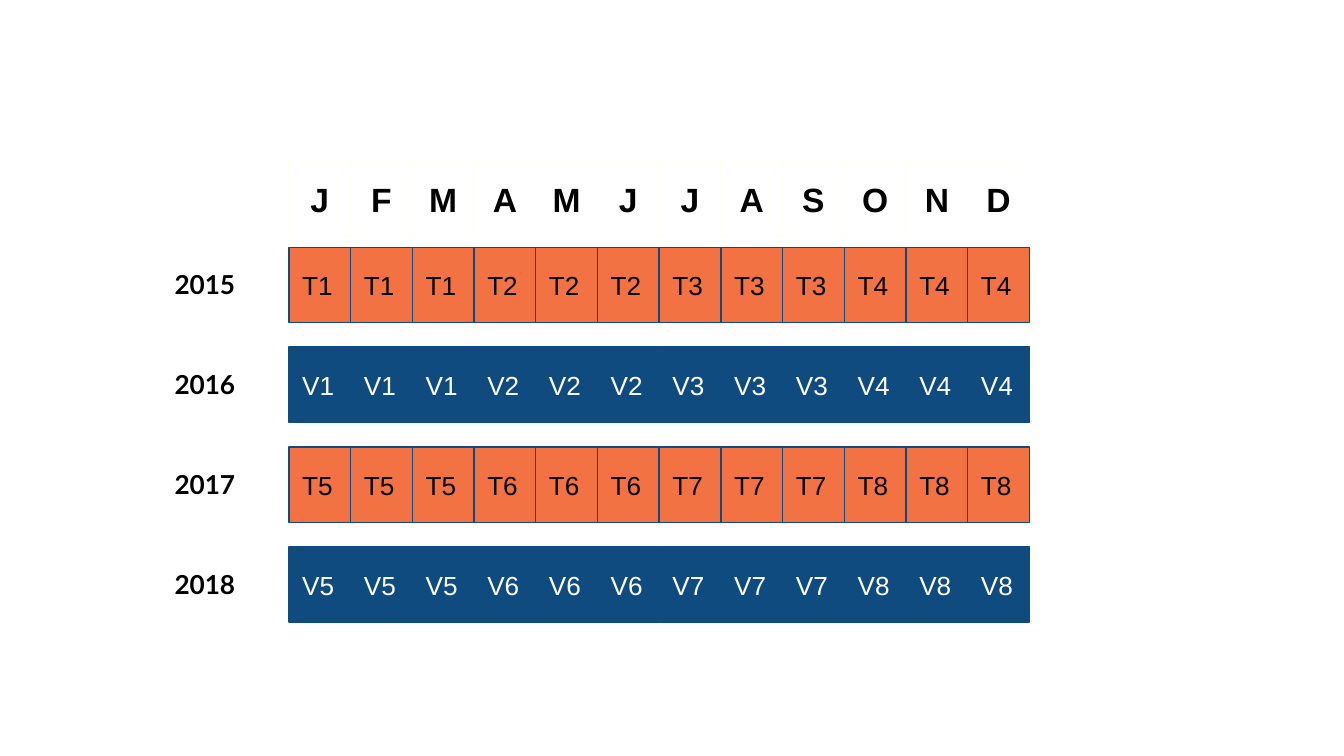
from pptx import Presentation
from pptx import util as u
from pptx.dml.color import RGBColor
from pptx.enum import shapes, text

# Content: month initials, then (year, quarter letter, first quarter number)
MONTHS = "JFMAMJJASOND"
YEARS = [("2015", "T", 1), ("2016", "V", 1), ("2017", "T", 5), ("2018", "V", 5)]

THEME = {
    "font": "Arial", "year_font": "Lato",
    "cell_size": 14, "month_size": 18,
    "black": "000000", "white": "FFFFFF",
    "orange": "F27243", "blue": "0F4B7E", "ivory": "FFFFF4",
}
# Cell style by row kind: fill, line, text colour
STYLES = {
    "T": ("orange", "blue", "black"),
    "V": ("blue", "blue", "white"),
    "month": ("white", "ivory", "black"),
}

# Layout in inches
PAGE_WIDTH = 10
PAGE_HEIGHT = PAGE_WIDTH * 9 / 16
GRID_LEFT, GRID_WIDTH = 2.15, 5.51
CELL_WIDTH, CELL_HEIGHT = GRID_WIDTH / len(MONTHS), 0.56
MONTH_TOP, FIRST_TOP, LAST_TOP = 1.2, 1.84, 4.07
ROW_STEP = (LAST_TOP - FIRST_TOP) / (len(YEARS) - 1)
YEAR_LEFT, YEAR_WIDTH, YEAR_HEIGHT, YEAR_DROP = 1.2, 0.75, 0.44, 0.06


def color(name):
    return RGBColor.from_string(THEME[name])


def write(box, words, size, ink, font="font", bold=False):
    frame = box.text_frame
    frame.word_wrap = True
    frame.margin_left = frame.margin_right = u.Inches(0.1)
    frame.margin_top = frame.margin_bottom = u.Inches(0.1)
    para = frame.paragraphs[0]
    para.text = words
    para.alignment = text.PP_ALIGN.LEFT
    para.font.name = THEME[font]
    para.font.size = u.Pt(THEME[size])
    para.font.bold = bold
    para.font.color.rgb = color(ink)
    return frame


def add_cells(row, top, labels, kind):
    fill, line, ink = STYLES[kind]
    is_month = kind == "month"
    for column, label in enumerate(labels):
        cell = row.shapes.add_shape(
            shapes.MSO_SHAPE.RECTANGLE,
            u.Inches(GRID_LEFT + column * CELL_WIDTH), u.Inches(top),
            u.Inches(CELL_WIDTH), u.Inches(CELL_HEIGHT))
        cell.shadow.inherit = False
        cell.fill.solid()
        cell.fill.fore_color.rgb = color(fill)
        cell.line.color.rgb = color(line)
        cell.line.width = u.Pt(0.75)
        frame = write(cell, label, "month_size" if is_month else "cell_size",
                      ink, bold=is_month)
        frame.vertical_anchor = text.MSO_ANCHOR.MIDDLE
        if is_month:
            frame.paragraphs[0].alignment = text.PP_ALIGN.CENTER


def add_year(row, top, year):
    box = row.shapes.add_textbox(
        u.Inches(YEAR_LEFT), u.Inches(top + YEAR_DROP),
        u.Inches(YEAR_WIDTH), u.Inches(YEAR_HEIGHT))
    frame = write(box, year, "cell_size", "black", "year_font", bold=True)
    frame.auto_size = text.MSO_AUTO_SIZE.SHAPE_TO_FIT_TEXT


def main():
    deck = Presentation()
    deck.slide_width = u.Inches(PAGE_WIDTH)
    deck.slide_height = u.Inches(PAGE_HEIGHT)
    page = deck.slides.add_slide(deck.slide_layouts[6])

    # One group per year: label and twelve quarter cells
    for index, (year, letter, first) in enumerate(YEARS):
        row = page.shapes.add_group_shape()
        top = FIRST_TOP + index * ROW_STEP
        add_year(row, top, year)
        quarters = [f"{letter}{first + month // 3}" for month in range(len(MONTHS))]
        add_cells(row, top, quarters, letter)

    # Month header
    add_cells(page.shapes.add_group_shape(), MONTH_TOP, MONTHS, "month")

    deck.save("out.pptx")


if __name__ == "__main__":
    main()
